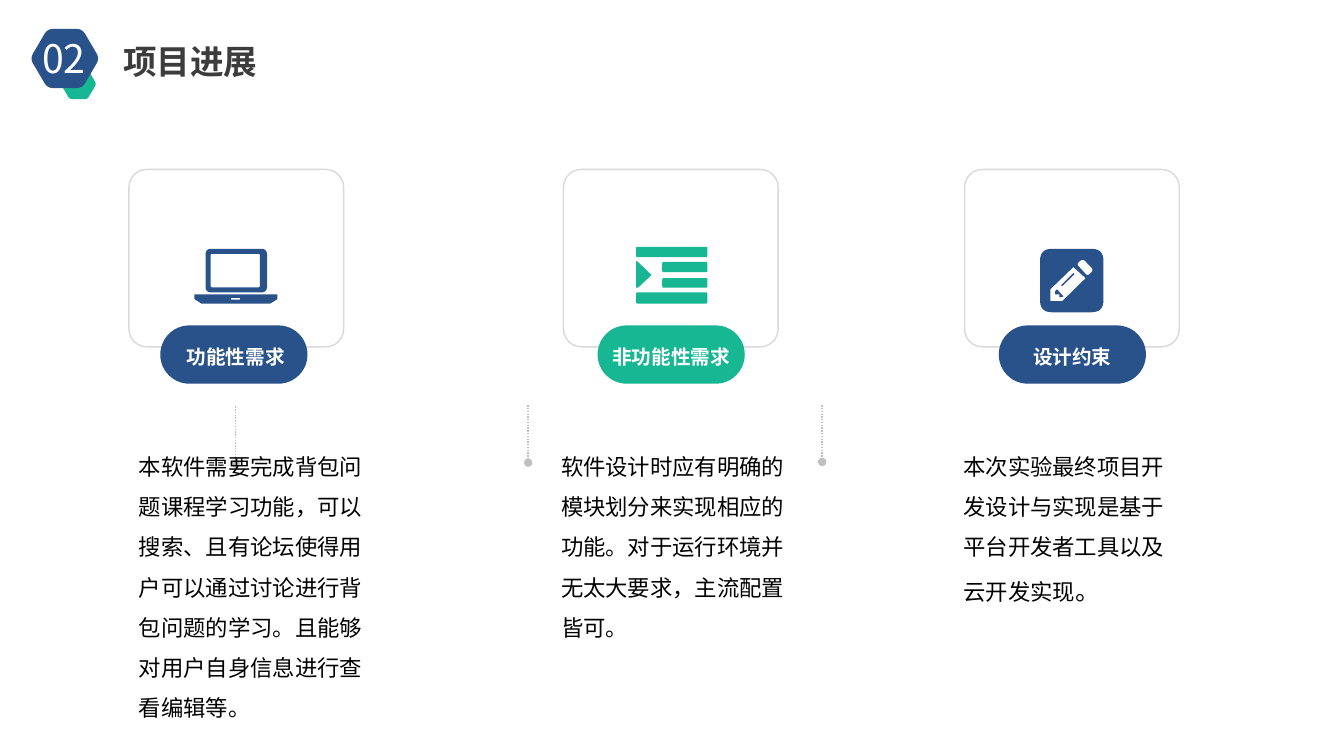
from math import dist

from lxml.etree import SubElement
from pptx import Presentation
from pptx.dml.color import RGBColor
from pptx.enum.dml import MSO_LINE
from pptx.enum.shapes import MSO_CONNECTOR, MSO_SHAPE
from pptx.enum.text import MSO_ANCHOR, MSO_AUTO_SIZE, PP_ALIGN
from pptx.oxml.ns import qn
from pptx.util import Cm, Pt

BLUE = RGBColor(0x29, 0x52, 0x8A)
GREEN = RGBColor(0x18, 0xB7, 0x94)
WHITE = RGBColor(0xFF, 0xFF, 0xFF)
BLACK = RGBColor(0, 0, 0)
TITLE_GRAY = RGBColor(0x3C, 0x3C, 0x3C)
BORDER_GRAY = RGBColor(0xD9, 0xD9, 0xD9)
LINE_GRAY = RGBColor(0xBF, 0xBF, 0xBF)


def add_text(shape, text, *, size, color, font="Arial", bold=False,
             align=PP_ALIGN.LEFT, spacing=None, wrap=True):
    frame = shape.text_frame
    frame.word_wrap = wrap
    frame.auto_size = MSO_AUTO_SIZE.SHAPE_TO_FIT_TEXT
    paragraph = frame.paragraphs[0]
    paragraph.alignment = align
    paragraph.line_spacing = spacing
    run = paragraph.add_run()
    run.text = text
    run.font.name = font
    run.font.size = Pt(size)
    run.font.bold = bold
    run.font.color.rgb = color


def add_text_box(slide, left, top, width, height, text, **text_format):
    box = slide.shapes.add_textbox(Cm(left), Cm(top), Cm(width), Cm(height))
    add_text(box, text, **text_format)
    return box


def paint(shape, fill, border=None):
    shape.shadow.inherit = False
    shape.fill.solid()
    shape.fill.fore_color.rgb = fill
    if border is None:
        shape.line.fill.background()
    else:
        shape.line.color.rgb = border
        shape.line.width = Pt(1)


def add_rounded_box(slide, left, top, width, height, rounding, fill, border=None):
    shape = slide.shapes.add_shape(
        MSO_SHAPE.ROUNDED_RECTANGLE, Cm(left), Cm(top), Cm(width), Cm(height))
    shape.adjustments[0] = rounding
    paint(shape, fill, border)


def add_dotted_line(slide, x, top, bottom):
    connector = slide.shapes.add_connector(
        MSO_CONNECTOR.STRAIGHT, Cm(x), Cm(top), Cm(x), Cm(bottom))
    connector.line.color.rgb = LINE_GRAY
    connector.line.width = Pt(1)
    connector.line.dash_style = MSO_LINE.ROUND_DOT
    properties = connector._element.spPr
    SubElement(properties.find(qn("a:ln")), qn("a:tailEnd"), type="oval")
    SubElement(properties, qn("a:effectLst"))


def round_corners(vertices, radius, steps=6):
    def toward(start, end):
        share = radius / dist(start, end)
        return [a + (b - a) * share for a, b in zip(start, end)]

    points = []
    for index, corner in enumerate(vertices):
        entry = toward(corner, vertices[index - 1])
        leave = toward(corner, vertices[(index + 1) % len(vertices)])
        for step in range(steps + 1):
            t = step / steps
            points.append([(1 - t) ** 2 * a + 2 * t * (1 - t) * b + t ** 2 * c
                           for a, b, c in zip(entry, corner, leave)])
    return points


def rectangle(left, top, right, bottom, radius):
    corners = [(left, top), (right, top), (right, bottom), (left, bottom)]
    return round_corners(corners, radius)


def add_outline(slide, contours, fill):
    scaled = [[(Cm(x), Cm(y)) for x, y in contour] for contour in contours]
    builder = slide.shapes.build_freeform(*scaled[0][0])
    builder.add_line_segments(scaled[0][1:])
    for contour in scaled[1:]:
        builder.move_to(*contour[0])
        builder.add_line_segments(contour[1:])
    paint(builder.convert_to_shape(), fill)


def add_hexagon(slide, left, top, width, height, fill):
    shoulder = width / 4
    right, middle, bottom = left + width, top + height / 2, top + height
    vertices = [(left, middle), (left + shoulder, top), (right - shoulder, top),
                (right, middle), (right - shoulder, bottom), (left + shoulder, bottom)]
    add_outline(slide, [round_corners(vertices, width / 12)], fill)


def laptop_icon():
    base = [(4.9, 7.42), (6.99, 7.42), (6.99, 7.54),
            (6.81, 7.65), (5.08, 7.65), (4.9, 7.54)]
    return [base, rectangle(5.18, 6.27, 6.73, 7.37, 0.15),
            rectangle(5.31, 6.4, 6.55, 7.24, 0.03),
            rectangle(5.82, 7.51, 6.05, 7.55, 0.01)]


def indent_icon():
    bars = [(16.03, 6.22, 6.48), (16.69, 6.6, 6.86),
            (16.69, 7.01, 7.25), (16.03, 7.37, 7.65)]
    arrow = [(16.03, 6.58), (16.08, 6.6), (16.42, 6.93), (16.08, 7.25), (16.03, 7.25)]
    return [arrow] + [rectangle(left, top, 17.83, bottom, 0.04)
                      for left, top, bottom in bars]


def pencil_icon():
    body = [(27.36, 7.01), (27.05, 6.73), (26.47, 7.29), (26.47, 7.59), (26.77, 7.59)]
    nib = [(26.8, 7.47), (26.75, 7.49), (26.7, 7.49), (26.7, 7.42),
           (26.59, 7.42), (26.59, 7.34), (26.64, 7.29)]
    slit = [(27.08, 6.91), (26.77, 7.21), (26.74, 7.19), (27.05, 6.88)]
    eraser = [(27.41, 6.96), (27.13, 6.65), (27.29, 6.52), (27.56, 6.8)]
    return [rectangle(26.21, 6.27, 27.81, 7.87, 0.3), body, nib, slit,
            round_corners(eraser, 0.08)]


def add_header(slide):
    title = slide.shapes.title
    title.left, title.top, title.width, title.height = Cm(3.1), Cm(1.04), Cm(4.75), Cm(1.02)
    frame = title.text_frame
    frame.margin_left = frame.margin_top = frame.margin_right = frame.margin_bottom = 0
    frame.vertical_anchor = MSO_ANCHOR.MIDDLE
    add_text(title, "项目进展", size=24, color=TITLE_GRAY, bold=True)
    add_hexagon(slide, 1.53, 1.73, 0.9, 0.77, GREEN)
    add_hexagon(slide, 0.76, 0.73, 1.75, 1.49, BLUE)
    add_text_box(slide, 0.81, 0.74, 1.73, 1.45, "02", size=28, color=WHITE,
                 font="Noto Sans CJK SC", wrap=False)


def add_requirement(slide, card_left, pill_left, label_left, line, color, icon, label):
    add_dotted_line(slide, *line)
    add_rounded_box(slide, card_left, 4.27, 5.41, 4.47, 0.1, WHITE, BORDER_GRAY)
    add_rounded_box(slide, pill_left, 8.2, 3.71, 1.47, 0.5, color)
    add_outline(slide, icon, color)
    add_text_box(slide, label_left, 8.46, 3.71, 0.97, label, size=14, color=WHITE,
                 bold=True, align=PP_ALIGN.CENTER, spacing=1.2)


def main():
    presentation = Presentation()
    presentation.slide_width, presentation.slide_height = Cm(33.87), Cm(19.05)
    slide = presentation.slides.add_slide(presentation.slide_layouts[5])
    add_header(slide)

    requirements = [
        (3.25, 4.04, 4.09, (5.94, 10.24, 11.68), BLUE, laptop_icon(), "功能性需求"),
        (14.2, 15.06, 15.06, (13.31, 10.21, 11.66), GREEN, indent_icon(), "非功能性需求"),
        (24.31, 25.17, 25.17, (20.72, 10.21, 11.64), BLUE, pencil_icon(), "设计约束"),
    ]
    for requirement in requirements:
        add_requirement(slide, *requirement)

    descriptions = [
        (3.25, 6.25, 7.44, "本软件需要完成背包问题课程学习功能，可以搜索、且有论坛使得用户可以"
                           "通过讨论进行背包问题的学习。且能够对用户自身信息进行查看编辑等。"),
        (13.89, 6.25, 5.38, "软件设计时应有明确的模块划分来实现相应的功能。"
                            "对于运行环境并无太大要求，主流配置皆可。"),
        (24.03, 5.72, 4.34, "本次实验最终项目开发设计与实现是基于平台开发者工具以及云开发实现"),
    ]
    for left, width, height, text in descriptions:
        box = add_text_box(slide, left, 10.95, width, height, text,
                           size=16, color=BLACK, spacing=1.5)
    add_text(box, "。", size=18, color=BLACK, spacing=1.5)

    presentation.save("out.pptx")


if __name__ == "__main__":
    main()
